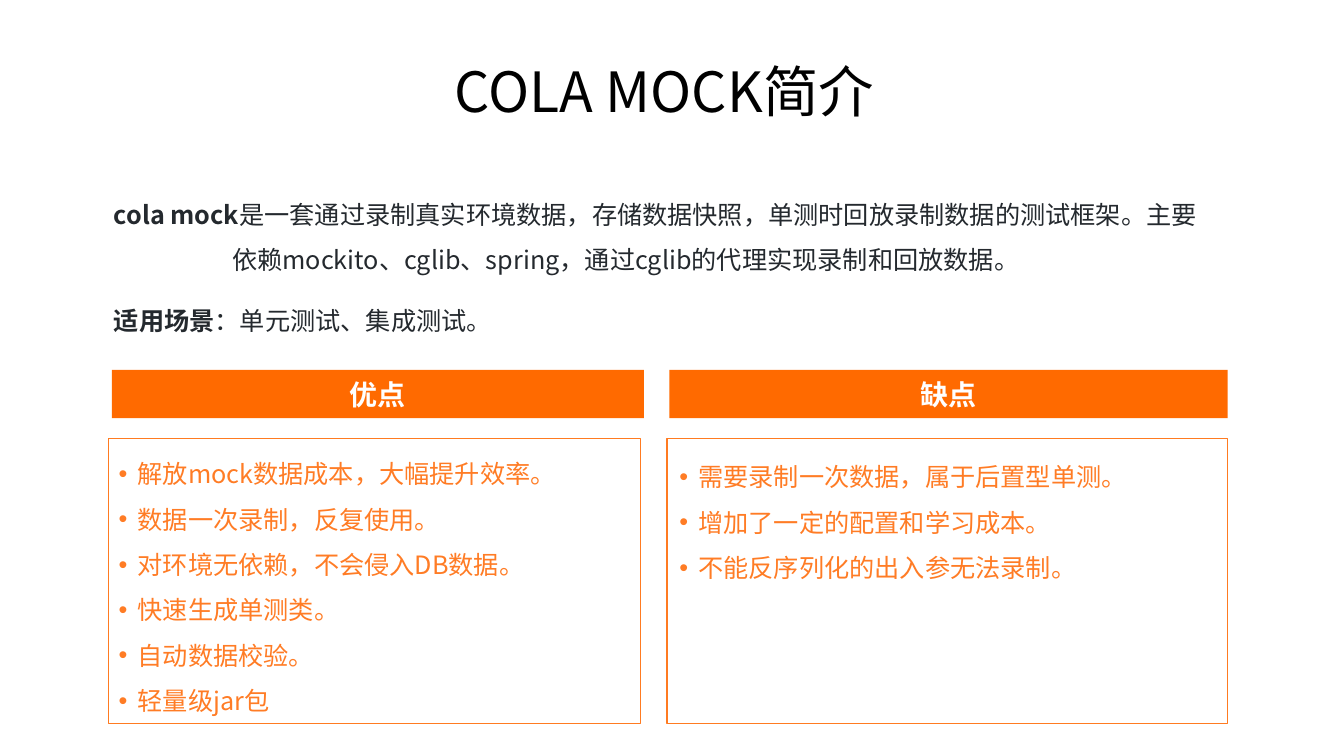
"""Build the COLA MOCK introduction slide with its pros and cons."""
import pptx
import pptx.dml.color
import pptx.enum.shapes
import pptx.enum.text
import pptx.oxml.ns
import pptx.util
from lxml import etree

Cm = pptx.util.Cm
Pt = pptx.util.Pt
RGBColor = pptx.dml.color.RGBColor
PP_ALIGN = pptx.enum.text.PP_ALIGN
MSO_ANCHOR = pptx.enum.text.MSO_ANCHOR
MSO_SHAPE = pptx.enum.shapes.MSO_SHAPE
qn = pptx.oxml.ns.qn

TITLE = "COLA MOCK简介"
INTRO = [
    {"bold": "cola mock", "plain": "是一套通过录制真实环境数据，存储数据快照，单测时回放录制数据的测试框架。主要",
     "indent": 0, "spacing": 1.5, "before": 0},
    {"bold": "", "plain": "依赖mockito、cglib、spring，通过cglib的代理实现录制和回放数据。",
     "indent": 2.98, "spacing": 1.5, "before": 0},
    {"bold": "适用场景", "plain": "：单元测试、集成测试。",
     "indent": 0, "spacing": 1.0, "before": 21.7},
]
PROS = [
    "解放mock数据成本，大幅提升效率。",
    "数据一次录制，反复使用。",
    "对环境无依赖，不会侵入DB数据。",
    "快速生成单测类。",
    "自动数据校验。",
    "轻量级jar包",
]
CONS = [
    "需要录制一次数据，属于后置型单测。",
    "增加了一定的配置和学习成本。",
    "不能反序列化的出入参无法录制。",
]

FONT = "Noto Sans CJK SC"
BLACK = RGBColor(0x00, 0x00, 0x00)
INK = RGBColor(0x24, 0x29, 0x2E)
WHITE = RGBColor(0xFF, 0xFF, 0xFF)
HEADING_FILL = RGBColor(0xFF, 0x6A, 0x00)
FRAME_LINE = RGBColor(0xFF, 0x7B, 0x21)
LIST_TEXT = RGBColor(0xFF, 0x7C, 0x25)

TITLE_AREA = (3.53, 1.63, 26.42, 1.5)
INTRO_AREA = (2.62, 4.52, 28.32, 4.11)
CONS_AREA = (16.87, 11.13, 13.41, 4.5)
HEADING_TOP, HEADING_HEIGHT = 9.32, 1.22
FRAME_TOP, FRAME_HEIGHT = 11.05, 7.19
HEADINGS = [("优点", 2.82, 13.41), ("缺点", 16.87, 14.07)]
PROS_FRAME = (2.74, 13.41, 0.75)
CONS_FRAME = (16.81, 14.12, 1)
BULLET_INDENT = 0.48


def style(span, size, color, bold=False):
    span.font.size = Pt(size)
    span.font.bold = bold
    span.font.color.rgb = color
    span.font.name = FONT
    east_asian = etree.SubElement(span.font._element, qn("a:ea"))
    east_asian.set("typeface", FONT)


def add_text_box(page, area):
    box = page.shapes.add_textbox(*map(Cm, area))
    box.text_frame.word_wrap = True
    return box


def add_title(page):
    frame = add_text_box(page, TITLE_AREA).text_frame
    frame.vertical_anchor = MSO_ANCHOR.MIDDLE
    frame.text = TITLE
    para = frame.paragraphs[0]
    para.alignment = PP_ALIGN.CENTER
    para.line_spacing = 0.9
    style(para.runs[0], 39.6, BLACK)


def add_intro(page):
    frame = add_text_box(page, INTRO_AREA).text_frame
    for index, entry in enumerate(INTRO):
        para = frame.add_paragraph() if index else frame.paragraphs[0]
        para.line_spacing = entry["spacing"]
        para.space_before = Pt(entry["before"])
        para._p.get_or_add_pPr().set("marL", str(Cm(entry["indent"])))
        for key in ("bold", "plain"):
            if entry[key]:
                span = para.add_run()
                span.text = entry[key]
                style(span, 18, INK, key == "bold")


def add_heading(page, label, left, width):
    bar = page.shapes.add_shape(MSO_SHAPE.ROUNDED_RECTANGLE, Cm(left), Cm(HEADING_TOP),
                                Cm(width), Cm(HEADING_HEIGHT))
    bar.adjustments[0] = 0
    bar.shadow.inherit = False
    bar.fill.solid()
    bar.fill.fore_color.rgb = HEADING_FILL
    bar.line.fill.background()
    bar.text_frame.vertical_anchor = MSO_ANCHOR.MIDDLE
    bar.text_frame.text = label
    para = bar.text_frame.paragraphs[0]
    para.alignment = PP_ALIGN.CENTER
    style(para.runs[0], 20, WHITE, True)


def add_frame(page, left, width, line_width):
    frame = page.shapes.add_shape(MSO_SHAPE.RECTANGLE, Cm(left), Cm(FRAME_TOP),
                                  Cm(width), Cm(FRAME_HEIGHT))
    frame.shadow.inherit = False
    frame.fill.background()
    frame.line.color.rgb = FRAME_LINE
    frame.line.width = Pt(line_width)
    return frame


def fill_list(box, items):
    box.text_frame.word_wrap = True
    box.text_frame.vertical_anchor = MSO_ANCHOR.TOP
    box.text_frame.text = "\n".join(items)
    for para in box.text_frame.paragraphs:
        para.alignment = PP_ALIGN.LEFT
        para.line_spacing = 1.5
        properties = para._p.get_or_add_pPr()
        properties.set("marL", str(Cm(BULLET_INDENT)))
        properties.set("indent", str(-Cm(BULLET_INDENT)))
        etree.SubElement(properties, qn("a:buFont")).set("typeface", "Arial")
        etree.SubElement(properties, qn("a:buChar")).set("char", "•")
        style(para.runs[0], 18, LIST_TEXT)


def main():
    deck = pptx.Presentation()
    deck.slide_width, deck.slide_height = Cm(33.87), Cm(19.05)
    page = deck.slides.add_slide(deck.slide_layouts[6])
    add_title(page)
    add_intro(page)
    for heading in HEADINGS:
        add_heading(page, *heading)
    cons_frame = add_frame(page, *CONS_FRAME)
    cons_frame.fill.solid()
    cons_frame.fill.fore_color.rgb = WHITE
    fill_list(add_frame(page, *PROS_FRAME), PROS)
    fill_list(add_text_box(page, CONS_AREA), CONS)
    deck.save("out.pptx")


if __name__ == "__main__":
    main()
